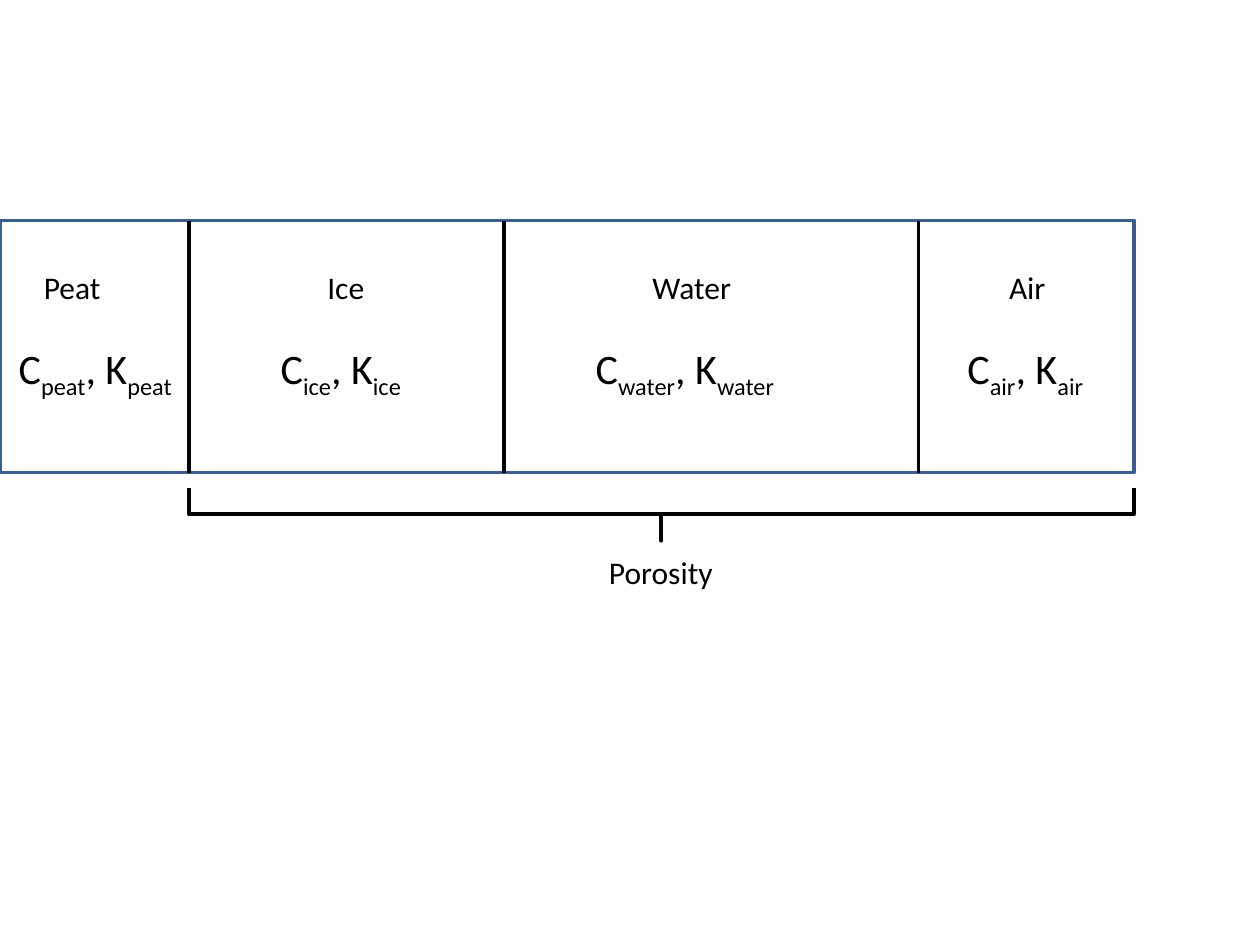
from lxml import etree
from pptx import Presentation
from pptx.dml.color import RGBColor
from pptx.enum.shapes import MSO_CONNECTOR, MSO_SHAPE
from pptx.enum.text import MSO_AUTO_SIZE
from pptx.oxml.ns import qn
from pptx.util import Inches, Pt

RECT = MSO_SHAPE.RECTANGLE
BRACE = MSO_SHAPE.LEFT_BRACE
STRAIGHT = MSO_CONNECTOR.STRAIGHT
FIT = MSO_AUTO_SIZE.SHAPE_TO_FIT_TEXT
COLORS = {"outline": "3A5F8C", "ink": "000000"}
FONT = "Calibri"

# name, left edge, name offset, name width, formula offset, formula width
PHASES = [
    ("Peat", 0, 0.25, 0.66, 0.05, 1.53),
    ("Ice", 1.5, 1, 0.5, 0.63, 1.23),
    ("Water", 4, 1.08, 0.83, 0.63, 1.74),
    ("Air", 7.29, 0.62, 0.49, 0.29, 1.16),
]


def set_line(s, color, width):
    s.line.color.rgb = RGBColor.from_string(COLORS[color])
    s.line.width = Pt(width)


def add_outline(slide, kind, left, top, width, height, color, weight):
    s = slide.shapes.add_shape(kind, Inches(left), Inches(top), Inches(width), Inches(height))
    s.shadow.inherit = False
    s.fill.background()
    set_line(s, color, weight)
    return s


def add_label(slide, left, top, width, height, size, parts):
    s = slide.shapes.add_textbox(Inches(left), Inches(top), Inches(width), Inches(height))
    tf = s.text_frame
    tf.word_wrap = False
    tf.auto_size = FIT
    for text, is_subscript in parts:
        r = tf.paragraphs[0].add_run()
        r.text = text
        r.font.size = Pt(size)
        r.font.name = FONT
        r.font.color.rgb = RGBColor.from_string(COLORS["ink"])
        if is_subscript:
            r.font._element.set("baseline", "-25000")


def add_divider(slide, x, top, height):
    line = slide.shapes.add_connector(
        STRAIGHT, Inches(x), Inches(top), Inches(x), Inches(top + height))
    set_line(line, "ink", 2.25)
    etree.SubElement(line._element.spPr, qn("a:effectLst"))


def add_soil_column(slide, left, top, width, height):
    add_outline(slide, RECT, left, top, width, height, "outline", 2)
    for name, edge, name_dx, name_w, formula_dx, formula_w in PHASES:
        x = left + edge
        if edge:
            add_divider(slide, x, top, height)
        add_label(slide, x + name_dx, top + 0.33, name_w, 0.4, 18, [(name, False)])
        sub = name.lower()
        add_label(slide, x + formula_dx, top + 0.92, formula_w, 0.5, 24,
                  [("C", False), (sub, True), (", K", False), (sub, True)])


def add_porosity(slide, left, top, width, height):
    center = left + width / 2
    brace = add_outline(slide, BRACE, center - height / 2, top + height / 2 - width / 2,
                        height, width, "ink", 2.25)
    brace.rotation = 270
    brace.adjustments[0] = 0
    brace.adjustments[1] = 0.5
    label_w = 1.03
    add_label(slide, center - label_w / 2, top + height + 0.05, label_w, 0.4, 18,
              [("Porosity", False)])


def main():
    prs = Presentation()
    prs.slide_width = Inches(10)
    prs.slide_height = Inches(7.5)
    slide = prs.slides.add_slide(prs.slide_layouts[6])
    add_soil_column(slide, 0, 1.75, 9, 2)
    add_porosity(slide, 1.5, 3.87, 7.5, 0.42)
    prs.save("out.pptx")


if __name__ == "__main__":
    main()
